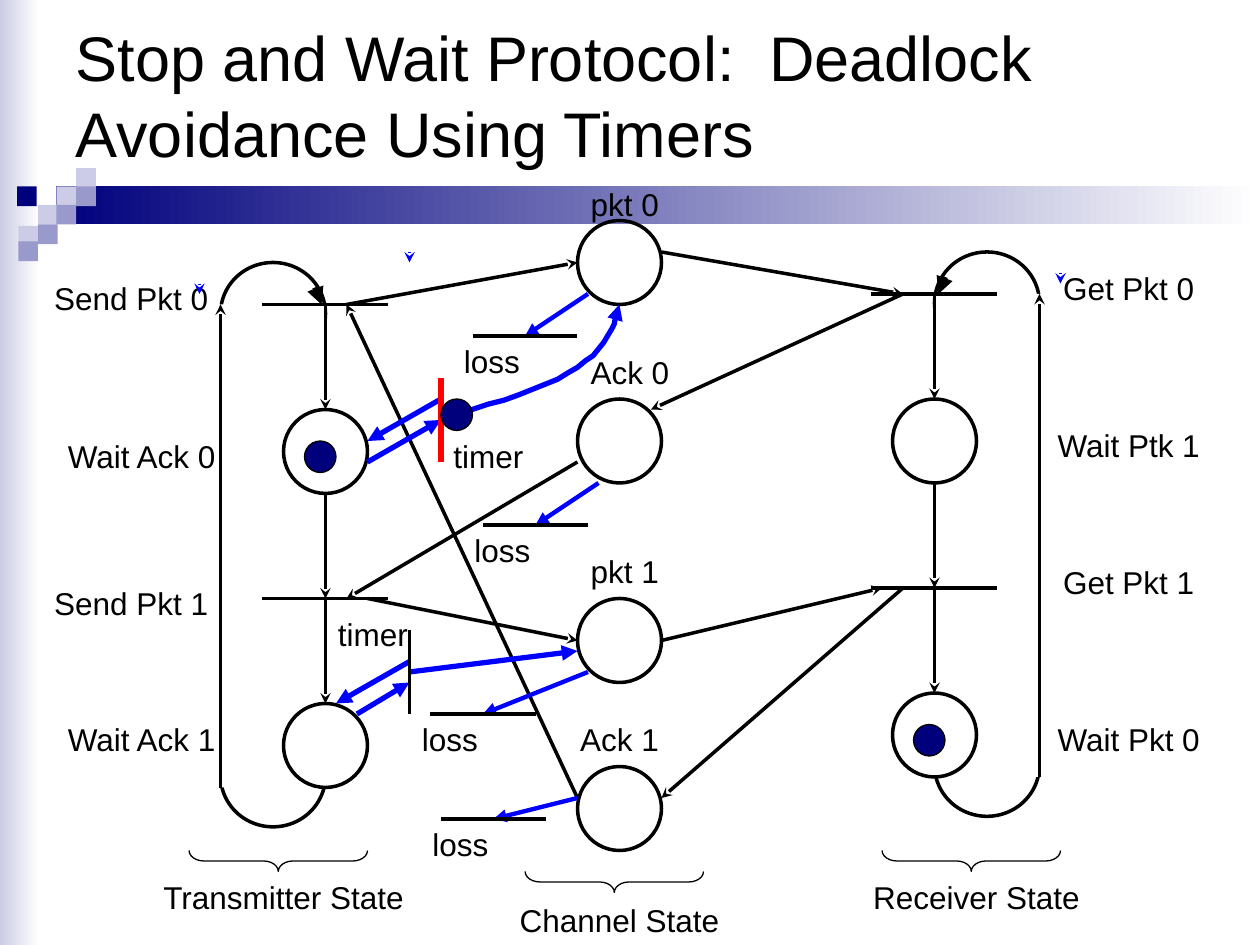
from pptx import Presentation
from pptx.dml.color import RGBColor
from pptx.enum.shapes import MSO_CONNECTOR, MSO_SHAPE
from pptx.enum.text import MSO_ANCHOR, MSO_AUTO_SIZE, PP_ALIGN
from pptx.oxml.ns import qn
from pptx.util import Pt
from lxml.etree import SubElement

PX = 9525
FONT = "Arial"
BLACK = RGBColor(0x00, 0x00, 0x00)
WHITE = RGBColor(0xFF, 0xFF, 0xFF)
BLUE = RGBColor(0x00, 0x00, 0xFF)
RED = RGBColor(0xFF, 0x00, 0x00)
NAVY = RGBColor(0x00, 0x00, 0x7D)
LILAC = RGBColor(0xCC, 0xCC, 0xE6)
MAUVE = RGBColor(0x99, 0x99, 0xCC)

SQUARES = [
    (43, 142, LILAC), (58, 128, LILAC), (58, 142, MAUVE),
    (29, 156, LILAC), (13, 142, NAVY), (43, 156, MAUVE),
    (14, 172, LILAC), (29, 171, MAUVE), (14, 184, MAUVE),
]
LABELS = [
    ("Send Pkt 0", 24, 208, 152), ("Wait Ack 0", 32, 328, 152),
    ("Send Pkt 1", 24, 440, 152), ("Wait Ack 1", 32, 544, 152),
    ("Get Pkt 0", 784, 200, 152), ("Wait Ptk 1", 784, 320, 152),
    ("Get Pkt 1", 784, 424, 152), ("Wait Pkt 0", 784, 544, 152),
    ("pkt 0", 432, 136, 88), ("Ack 0", 436, 264, 88),
    ("pkt 1", 432, 416, 88), ("Ack 1", 416, 544, 112),
]
FLOWS = [
    (504, 192, 688, 224), (504, 488, 672, 448), (280, 456, 440, 488),
    (688, 224, 496, 312), (688, 448, 504, 608), (264, 232, 440, 200),
    (440, 352, 264, 456), (440, 608, 264, 232),
]
LOSSES = [
    (448, 224, 360, 256), (456, 368, 368, 400),
    (448, 512, 328, 544), (440, 608, 336, 624),
]
RESENDS = [
    (280, 352, 336, 320), (336, 304, 280, 336),
    (272, 544, 312, 520), (312, 504, 256, 536), (312, 512, 440, 496),
]
GROUPS = [
    ("Transmitter State", 212, 648, 664),
    ("Receiver State", 740, 648, 664),
    ("Channel State", 468, 664, 682),
]
CURVES = [
    [(336, 320), (376, 307), (418, 295), (440, 280)],
    [(440, 280), (463, 265), (468, 248), (472, 232)],
]


def scale(*sizes):
    return [size * PX for size in sizes]


def add_tip(shape, tip):
    line = shape.element.spPr.find(qn("a:ln"))
    SubElement(line, qn("a:tailEnd"), type=tip)


def add_box(slide, kind, at, fill=None, edge=None, width=2):
    shape = slide.shapes.add_shape(kind, *scale(*at))
    shape.shadow.inherit = False
    if fill is None:
        shape.fill.background()
    else:
        shape.fill.solid()
        shape.fill.fore_color.rgb = fill
    if edge is None:
        shape.line.fill.background()
    else:
        shape.line.color.rgb = edge
        shape.line.width = Pt(width)
    return shape


def add_fade(slide, at, color):
    shape = add_box(slide, MSO_SHAPE.RECTANGLE, at)
    shape.fill.gradient()
    shape.fill.gradient_angle = 180
    for stop, shade in zip(shape.fill.gradient_stops, (WHITE, color)):
        stop.color.rgb = shade


def add_line(slide, ends, color=BLACK, width=2, tip=None):
    line = slide.shapes.add_connector(MSO_CONNECTOR.STRAIGHT, *scale(*ends))
    line.line.color.rgb = color
    line.line.width = Pt(width)
    if tip:
        add_tip(line, tip)
    SubElement(line.element.spPr, qn("a:effectLst"))


def add_run(para, text, size):
    run = para.add_run()
    run.text = text
    run.font.name = FONT
    run.font.size = Pt(size)
    run.font.color.rgb = BLACK


def add_label(slide, text, x, y, wide, align=PP_ALIGN.CENTER):
    frame = slide.shapes.add_textbox(*scale(x, y, wide, 38)).text_frame
    frame.word_wrap = True
    para = frame.paragraphs[0]
    para.alignment = align
    add_run(para, text, 18)


def add_title(slide):
    title = slide.shapes.title
    title.left, title.top, title.width, title.height = scale(48, 0, 864, 144)
    frame = title.text_frame
    frame.auto_size = MSO_AUTO_SIZE.NONE
    frame.vertical_anchor = MSO_ANCHOR.MIDDLE
    para = frame.paragraphs[0]
    para.alignment = PP_ALIGN.LEFT
    add_run(para, "Stop and Wait Protocol:  Deadlock Avoidance Using Timers", 36)


def add_place(slide, x, y):
    add_box(slide, MSO_SHAPE.OVAL, (x - 32, y, 64, 64), edge=BLACK)


def add_token(slide, x, y):
    add_box(slide, MSO_SHAPE.OVAL, (x, y, 24, 24), NAVY, BLACK, 0.75)


def add_mark(slide, x, y):
    add_line(slide, (x, y, x, y + 8), BLUE, tip="stealth")


def add_cycle(slide, x, y, side):
    left = min(x, x + side * 80)
    inset = 16 if side < 0 else 0
    for top, mask in ((y - 32, (left - inset, y, 96, 48)),
                      (y + 320, (left - 8, y + 312, 96, 56))):
        add_box(slide, MSO_SHAPE.OVAL, (left, top, 80, 78), edge=BLACK)
        add_box(slide, MSO_SHAPE.RECTANGLE, mask, WHITE)
    add_line(slide, (x + side * 8, y - 13, x + side * 3, y), width=3.25, tip="triangle")
    add_line(slide, (x + side * 80, y + 368, x + side * 80, y), tip="stealth")
    for bar in (y, y + 224):
        add_line(slide, (x - 48, bar, x + 48, bar))
        add_line(slide, (x, bar, x, bar + 80), tip="stealth")
        add_place(slide, x, bar + 80)
    add_line(slide, (x, y + 144, x, y + 224), tip="stealth")


def add_loss(slide, x, y, bar, base):
    add_line(slide, (x, y, bar + 40, base), BLUE, 2.5, "triangle")
    add_line(slide, (bar, base, bar + 80, base))
    add_label(slide, "loss", bar - 16, base, 64, PP_ALIGN.LEFT)


def add_group(slide, text, x, y, base):
    brace = add_box(slide, MSO_SHAPE.RIGHT_BRACE, (x - 8, y - 60, 16, 136), edge=BLACK, width=0.75)
    brace.rotation = 90
    brace.adjustments[0] = 0.71
    add_label(slide, text, x - 156, base, 320)


def bend(curve, t):
    parts = ((1 - t) ** 3, 3 * t * (1 - t) ** 2, 3 * t * t * (1 - t), t ** 3)
    return tuple(sum(p * dot[axis] for p, dot in zip(parts, curve)) for axis in (0, 1))


def add_curve(slide):
    dots = [bend(curve, step / 10) for curve in CURVES for step in range(1, 11)]
    pen = slide.shapes.build_freeform(*CURVES[0][0], scale=PX)
    pen.add_line_segments(dots, close=False)
    shape = pen.convert_to_shape()
    shape.shadow.inherit = False
    shape.fill.background()
    shape.line.color.rgb = BLUE
    shape.line.width = Pt(3)
    add_tip(shape, "triangle")


def main():
    deck = Presentation()
    deck.slide_width, deck.slide_height = scale(960, 720)
    slide = deck.slides.add_slide(deck.slide_layouts[5])
    add_fade(slide, (0, 0, 30, 720), LILAC)
    add_fade(slide, (43, 142, 917, 29), NAVY)
    for x, y, color in SQUARES:
        add_box(slide, MSO_SHAPE.RECTANGLE, (x, y, 15, 15), color)
    add_title(slide)
    add_cycle(slide, 248, 232, -1)
    add_cycle(slide, 712, 224, 1)
    for y in (168, 304, 456, 584):
        add_place(slide, 472, y)
    for label in LABELS:
        add_label(slide, *label)
    for group in GROUPS:
        add_group(slide, *group)
    for flow in FLOWS:
        add_line(slide, flow, tip="stealth")
    for loss in LOSSES:
        add_loss(slide, *loss)
    for x, y in ((152, 216), (312, 192), (808, 208)):
        add_mark(slide, x, y)
    for ends in RESENDS:
        add_line(slide, ends, BLUE, 3, "triangle")
    add_curve(slide)
    add_line(slide, (336, 288, 336, 352), RED, 3)
    add_line(slide, (312, 480, 312, 544))
    for x, y in ((336, 328), (248, 464)):
        add_label(slide, "timer", x, y, 96, PP_ALIGN.LEFT)
    for x, y in ((232, 336), (696, 552), (336, 304)):
        add_token(slide, x, y)
    deck.save("out.pptx")


if __name__ == "__main__":
    main()
